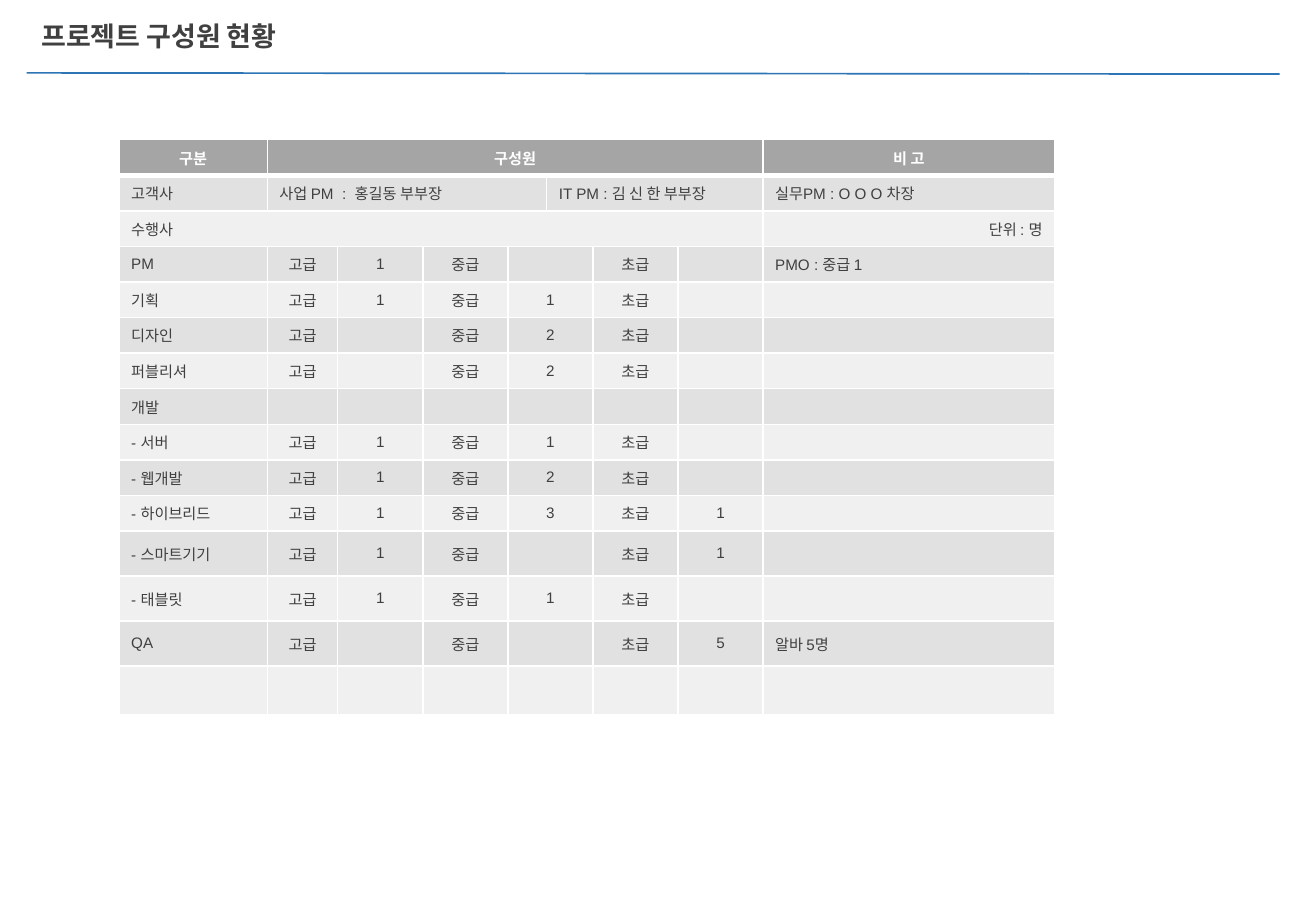
from dataclasses import dataclass

from lxml import etree
from pptx import Presentation
from pptx.dml.color import RGBColor
from pptx.enum.shapes import MSO_CONNECTOR
from pptx.enum.text import MSO_ANCHOR, MSO_AUTO_SIZE, PP_ALIGN
from pptx.oxml.ns import qn
from pptx.util import Inches, Pt

LEFT, CENTER, RIGHT = PP_ALIGN.LEFT, PP_ALIGN.CENTER, PP_ALIGN.RIGHT
MIDDLE = MSO_ANCHOR.MIDDLE
NO_AUTOFIT = MSO_AUTO_SIZE.NONE
STRAIGHT = MSO_CONNECTOR.STRAIGHT
TITLE_ONLY = 5


@dataclass(frozen=True)
class Theme:
    """Colours, fonts and type sizes of the slide."""
    ink: str = "404040"
    white: str = "FFFFFF"
    rule: str = "2E75B6"
    header: str = "A5A5A5"
    bands: tuple = ("F0F0F0", "E1E1E1")
    font: str = "Arial"
    header_font: str = "Calibri"
    title_size: int = 16
    table_size: int = 9
    thin: int = 1
    thick: int = 3


THEME = Theme()
PAGE_WIDTH, PAGE_HEIGHT = 10.83, 7.5
COLUMN_WIDTHS = [1.22, 0.58, 0.7, 0.7, 0.32, 0.38, 0.7, 0.7, 2.4]
ROW_POINTS = [21.1] * 11 + [26.7] * 3 + [29]
LAST = len(COLUMN_WIDTHS) - 1
GRADES = {1: "고급", 3: "중급", 6: "초급"}
COUNT_COLUMNS = (2, 4, 7)

# Role, head count for each grade, remark
STAFF = [
    ("PM", ("1", "", ""), "PMO : 중급 1"),
    ("기획", ("1", "1", ""), ""),
    ("디자인", ("", "2", ""), ""),
    ("퍼블리셔", ("", "2", ""), ""),
    ("개발", None, ""),
    ("- 서버", ("1", "1", ""), ""),
    ("- 웹개발", ("1", "2", ""), ""),
    ("- 하이브리드", ("1", "3", "1"), ""),
    ("- 스마트기기", ("1", "", "1"), ""),
    ("- 태블릿", ("1", "1", ""), ""),
    ("QA", ("", "", "5"), "알바 5명"),
    ("", None, ""),
]

# Each row maps a first column to (text, column span, alignment)
HEADING_ROWS = [
    {0: ("구분", 1, CENTER), 1: ("구성원", 7, CENTER), LAST: ("비 고", 1, CENTER)},
    {0: ("고객사", 1, LEFT), 1: ("사업 PM  :  홍길동 부부장", 4, LEFT),
     5: ("IT PM : 김 신 한 부부장", 3, LEFT), LAST: ("실무PM : O O O 차장", 1, LEFT)},
    {0: ("수행사", 8, LEFT), LAST: ("단위 : 명", 1, RIGHT)},
]


def staff_row(role, counts, remark):
    """Lay out one role as cells of the table grid."""
    texts = {0: role, LAST: remark}
    if counts:
        texts.update(GRADES)
        texts.update(zip(COUNT_COLUMNS, counts))
    return {column: (texts.get(column, ""), 2 if column == 4 else 1,
                     LEFT if column in (0, LAST) else CENTER)
            for column in range(LAST + 1) if column != 5}


def style_font(font, color, **values):
    """Set a font's colour and its other format values."""
    font.color.rgb = RGBColor.from_string(color)
    for name, value in values.items():
        setattr(font, name, value)


def add_title(page, text):
    """Format the title placeholder and fill in its text."""
    title = page.shapes.title
    place = {"left": 0.24, "top": 0.14, "width": 5.17, "height": 0.31}
    for name, value in place.items():
        setattr(title, name, Inches(value))
    title.fill.solid()
    title.fill.fore_color.rgb = RGBColor.from_string(THEME.white)
    frame = title.text_frame
    frame.auto_size, frame.word_wrap, frame.vertical_anchor = NO_AUTOFIT, True, MIDDLE
    para = frame.paragraphs[0]
    para.alignment = LEFT
    span = para.add_run()
    span.text = text
    style_font(span.font, THEME.ink, name=THEME.font, size=Pt(THEME.title_size), bold=True)


def add_rule(page):
    """Draw the line under the title."""
    ends = [Inches(value) for value in (0.22, 0.6, 10.53, 0.61)]
    rule = page.shapes.add_connector(STRAIGHT, *ends)
    rule.line.color.rgb = RGBColor.from_string(THEME.rule)
    rule.line.width = Pt(THEME.thin)
    etree.SubElement(rule.element.spPr, qn("a:effectLst"))


def add_borders(cell, row):
    """Give a cell white borders, thick between the header and the body."""
    thick_side = {0: "B", 1: "T"}.get(row)
    for side in "LRTB":
        width = THEME.thick if side == thick_side else THEME.thin
        line = etree.SubElement(cell._tc.get_or_add_tcPr(), qn(f"a:ln{side}"), w=str(Pt(width)))
        fill = etree.SubElement(line, qn("a:solidFill"))
        etree.SubElement(fill, qn("a:srgbClr"), val=THEME.white)


def paint_cell(cell, row):
    """Set a cell's borders, fill and anchor."""
    add_borders(cell, row)
    cell.fill.solid()
    color = THEME.header if row == 0 else THEME.bands[row % 2]
    cell.fill.fore_color.rgb = RGBColor.from_string(color)
    cell.vertical_anchor = MIDDLE
    # The end mark sets the line height of a cell without text
    etree.SubElement(cell.text_frame.paragraphs[0]._p, qn("a:endParaRPr"),
                     sz=str(THEME.table_size * 100))


def write_cell(cell, text, alignment, is_header, font_name):
    """Write a cell's text."""
    para = cell.text_frame.paragraphs[0]
    para.alignment = alignment
    if text:
        span = para.add_run()
        span.text = text
        style_font(span.font, THEME.white if is_header else THEME.ink, name=font_name,
                   size=Pt(THEME.table_size), bold=is_header)


def add_staff_table(page):
    """Build the table of project members."""
    rows = HEADING_ROWS + [staff_row(*entry) for entry in STAFF]
    box = page.shapes.add_table(len(rows), LAST + 1, Inches(0.98), Inches(1.15),
                                Inches(sum(COLUMN_WIDTHS)), Pt(sum(ROW_POINTS)))
    table = box.table
    table.first_row = table.horz_banding = False
    for column, width in zip(table.columns, COLUMN_WIDTHS):
        column.width = Inches(width)
    for row, height in zip(table.rows, ROW_POINTS):
        row.height = Pt(height)
    for row, entries in enumerate(rows):
        for column in range(LAST + 1):
            paint_cell(table.cell(row, column), row)
        for column, (text, width, alignment) in entries.items():
            cell = table.cell(row, column)
            if width > 1:
                cell.merge(table.cell(row, column + width - 1))
            is_header = row == 0
            font_name = THEME.header_font if is_header and column < LAST else THEME.font
            write_cell(cell, text, alignment, is_header, font_name)


def main():
    """Build the slide and save the deck."""
    deck = Presentation()
    deck.slide_width, deck.slide_height = Inches(PAGE_WIDTH), Inches(PAGE_HEIGHT)
    page = deck.slides.add_slide(deck.slide_layouts[TITLE_ONLY])
    add_rule(page)
    add_staff_table(page)
    add_title(page, "프로젝트 구성원 현황")
    deck.save("out.pptx")


main()
